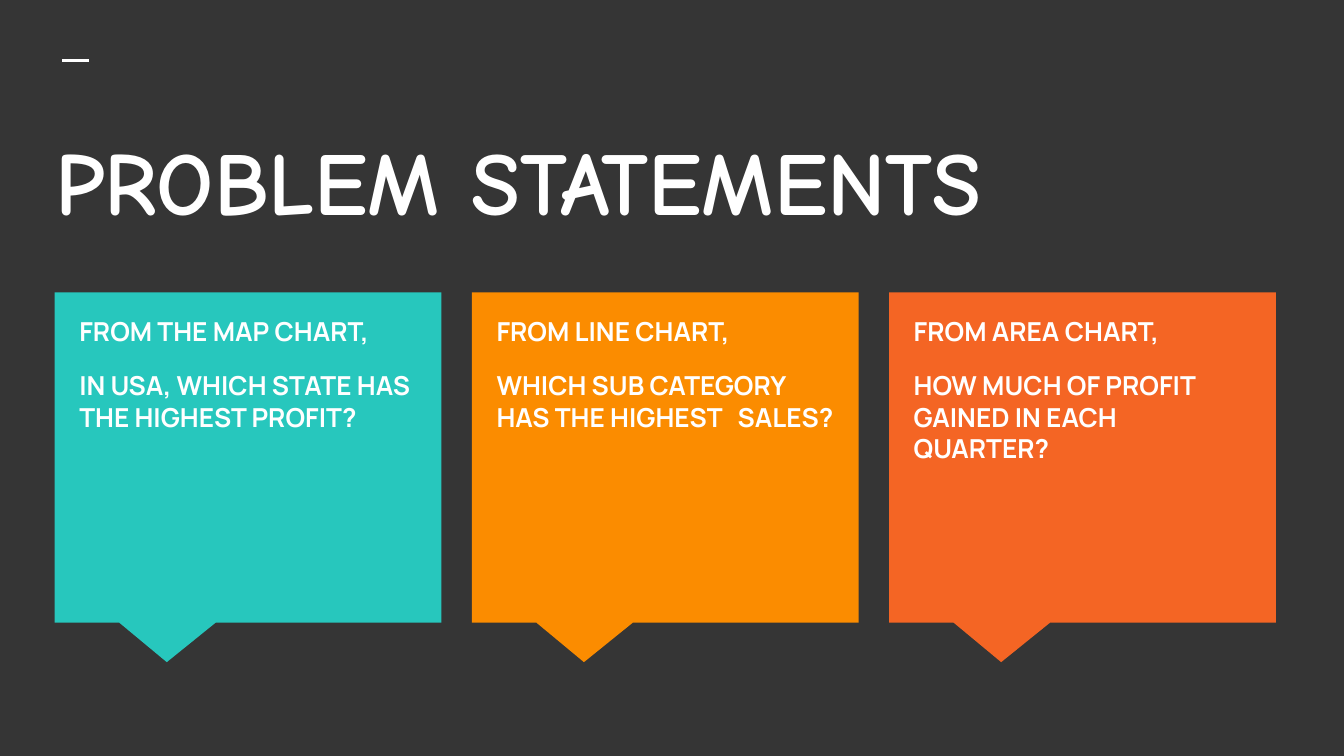
"""Build the problem statements slide with three callout cards."""
from dataclasses import dataclass
from pptx import Presentation
from pptx.dml.color import RGBColor
from pptx.enum import shapes, text
from pptx.oxml import ns, xmlchemy as xml
from pptx.util import Pt

HUES = {"back": "353535", "text": "FFFFFF", "teal": "27C7BD",
        "amber": "FB8C00", "coral": "F46524"}
LEFT, TOP, WIDE, HIGH, STEP = 29.3, 156.6, 207.2, 176.9, 223.5


@dataclass
class Card:
    hue: str
    head: str
    ask: str


CARDS = [
    Card("teal", "FROM THE MAP CHART,", "IN USA, WHICH STATE HAS THE HIGHEST PROFIT?"),
    Card("amber", "FROM LINE CHART,", "WHICH SUB CATEGORY HAS THE HIGHEST   SALES?"),
    Card("coral", "FROM AREA CHART,", "HOW MUCH OF PROFIT GAINED IN EACH QUARTER?"),
]


def tint(name: str) -> RGBColor:
    """Return the named colour."""
    return RGBColor.from_string(HUES[name])


def place(item, x: float, y: float, w: float, h: float) -> None:
    """Move and size a shape in points."""
    item.left, item.top, item.width, item.height = Pt(x), Pt(y), Pt(w), Pt(h)


def write(item, lines: list[str], size: float, face: str, anchor) -> None:
    """Fill a placeholder with plain left-aligned paragraphs."""
    frame = item.text_frame
    frame.text = "\n".join(lines)
    frame.word_wrap = True
    frame.auto_size = text.MSO_AUTO_SIZE.NONE
    frame.vertical_anchor = anchor
    frame.margin_left = frame.margin_right = Pt(7.2)
    frame.margin_top = frame.margin_bottom = Pt(7.2)
    for rank, para in enumerate(frame.paragraphs):
        para.alignment = text.PP_ALIGN.LEFT
        para.space_before = para.space_after = Pt(12 if rank else 0)
        props = para._p.get_or_add_pPr()
        props.set("marL", "0")
        props.set("indent", "0")
        props.append(xml.OxmlElement("a:buNone"))
        font = para.font
        font.size, font.name, font.bold = Pt(size), face, True
        font.color.rgb = tint("text")


def draw(slide, card: Card, body, x: float) -> None:
    """Draw a callout and lay its text over it."""
    box = slide.shapes.add_shape(shapes.MSO_SHAPE.RECTANGULAR_CALLOUT,
                                 Pt(x), Pt(TOP), Pt(WIDE), Pt(HIGH))
    box.adjustments[0], box.adjustments[1] = -0.21, 0.62
    box.shadow.inherit = False
    box.fill.solid()
    box.fill.fore_color.rgb = tint(card.hue)
    box.line.fill.background()
    place(body, x + 6, 162, 195.1, 157.7)
    write(body, [card.head, card.ask], 14, "Manrope", text.MSO_ANCHOR.TOP)
    slide.shapes._spTree.append(body._element)


def rule(slide) -> None:
    """Draw the short line above the title."""
    line = slide.shapes.add_connector(shapes.MSO_CONNECTOR.STRAIGHT,
                                      Pt(33.4), Pt(32.6), Pt(47.9), Pt(32.6))
    line.line.width = Pt(1.5)
    line.line.color.rgb = tint("text")
    line._element.find(ns.qn("p:spPr")).append(xml.OxmlElement("a:effectLst"))


def main() -> None:
    """Make and save the deck."""
    deck = Presentation()
    deck.slide_width, deck.slide_height = Pt(720), Pt(405)
    slide = deck.slides.add_slide(deck.slide_layouts[4])
    slide.background.fill.solid()
    slide.background.fill.fore_color.rgb = tint("back")
    title, *bodies, spare = slide.placeholders
    spare._element.getparent().remove(spare._element)
    rule(slide)
    place(title, 22.3, 56.2, 679, 80.6)
    write(title, ["PROBLEM STATEMENTS"], 48, "Comic Neue", text.MSO_ANCHOR.MIDDLE)
    for rank, (card, body) in enumerate(zip(CARDS, bodies)):
        draw(slide, card, body, LEFT + rank * STEP)
    deck.save("out.pptx")


if __name__ == "__main__":
    main()
